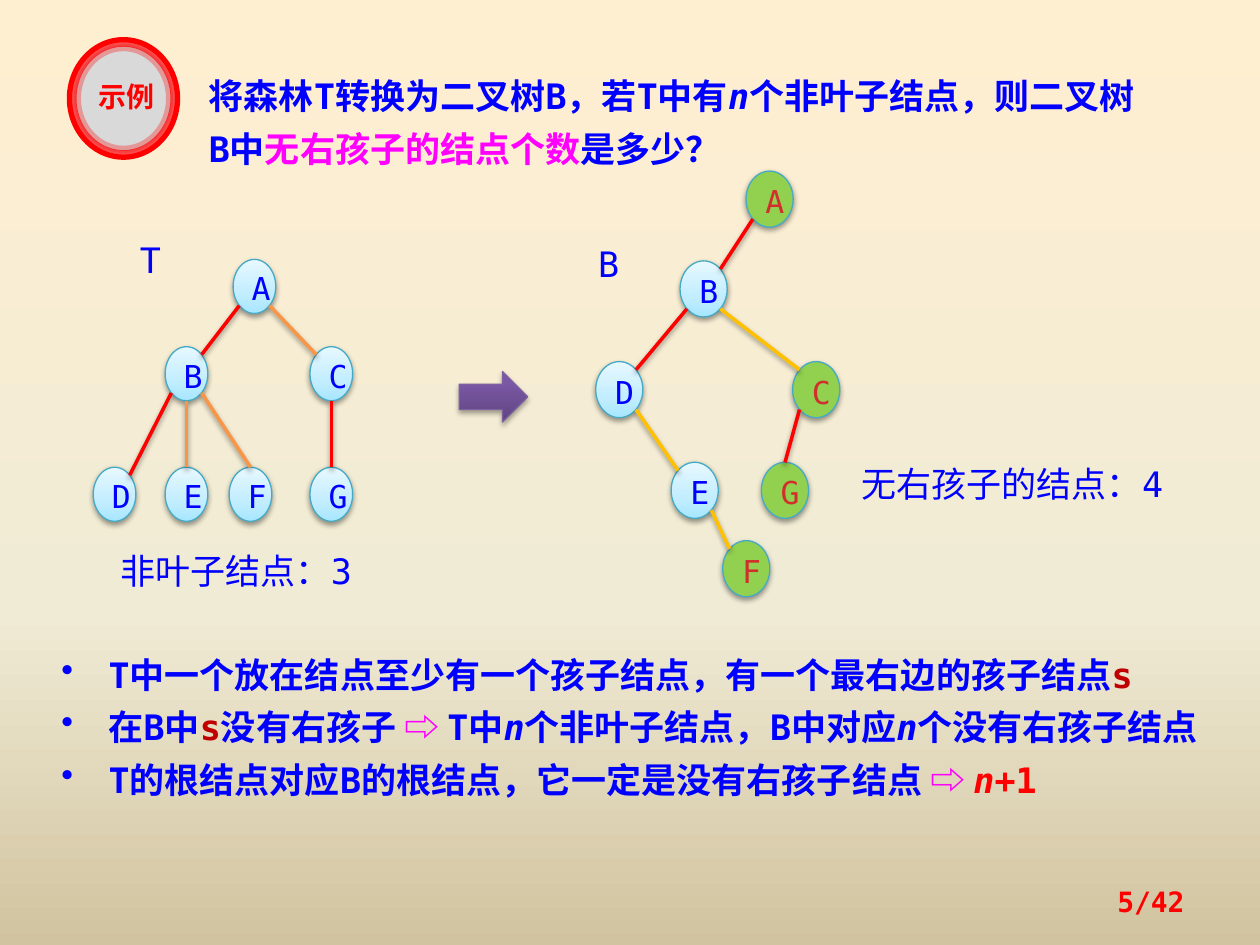
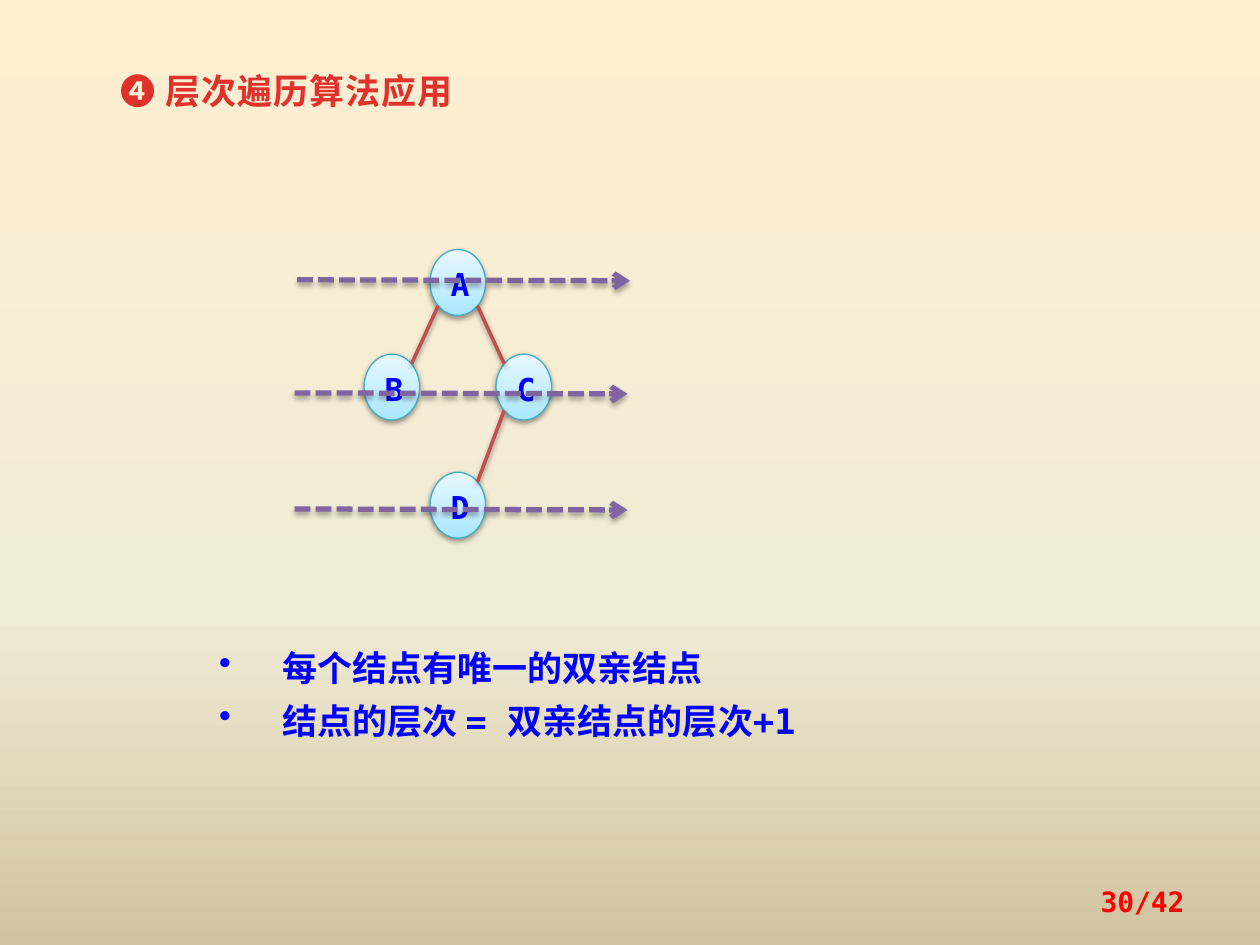
"""Builds two slides on forests, binary trees and level-order traversal."""
from copy import deepcopy
from lxml import etree
from pptx import Presentation
from pptx import util as u
from pptx.dml.color import RGBColor
from pptx.enum import dml, shapes, text
from pptx.oxml.ns import qn

Cm, Pt = u.Cm, u.Pt
MONO, SANS = "DejaVu Sans Mono", "Noto Sans CJK SC"
BLUE, RED, PINK, DARK = "0000FF", "FF0000", "FF00FF", "C00000"
AMBER, BRICK = "FFC000", "D02F2C"
SKY = [(0, "A7E6FF"), (35, "C1EDFF"), (100, "E7F8FF")]
SAND = [(0, "FFEFD1"), (65, "F0EBD5"), (100, "D1C39F")]
PLUM = [(0, "5F4480"), (80, "7B58A6"), (100, "7C57A8")]
OVAL = shapes.MSO_SHAPE.OVAL
LINE = shapes.MSO_CONNECTOR.STRAIGHT


def paint(fill, tone, turn=90):
    """Fill with one hex colour or with three gradient stops."""
    if isinstance(tone, str):
        fill.solid()
        fill.fore_color.rgb = RGBColor.from_string(tone)
        return
    fill.gradient()
    fill.gradient_angle = turn
    first = fill.gradient_stops[0]._gs
    first.addnext(deepcopy(first))
    for stop, (at, hue) in zip(fill.gradient_stops, tone):
        stop.position = at / 100
        stop.color.rgb = RGBColor.from_string(hue)


def write(host, *paras, box=None, size=20, font=MONO, hue=BLUE, bold=False,
          align=None, lead=Pt(30), indent=0, track=0, middle=False):
    """Write paragraphs, each a string or a list of (text, hue, italic) runs."""
    shape = host.shapes.add_textbox(*map(Cm, box)) if box else host
    frame = shape.text_frame
    frame.word_wrap = True
    if middle:
        frame.vertical_anchor = text.MSO_ANCHOR.MIDDLE
    elif box:
        frame.auto_size = text.MSO_AUTO_SIZE.SHAPE_TO_FIT_TEXT
    for i, runs in enumerate(paras):
        para = frame.add_paragraph() if i else frame.paragraphs[0]
        if indent:
            props = para._p.get_or_add_pPr()
            props.set("marL", str(Cm(indent)))
            props.set("indent", str(-Cm(indent)))
            etree.SubElement(props, qn("a:buChar")).set("char", "•")
        para.alignment, para.line_spacing = align, lead
        for words, *look in [(runs,)] if isinstance(runs, str) else runs:
            run = para.add_run()
            run.text = words
            run.font.size, run.font.name, run.font.bold = Pt(size), font, bold
            run.font.italic = True if look[1:] else None
            paint(run.font.fill, look[0] if look else hue)
            mark = run._r.get_or_add_rPr()
            etree.SubElement(mark, qn("a:ea")).set("typeface", SANS)
            if track:
                mark.set("spc", str(track))


deck = Presentation()
deck.slide_width, deck.slide_height = Cm(25.4), Cm(19.05)
pages = []
for label in ["5/42", "30/42"]:
    page = deck.slides.add_slide(deck.slide_layouts[6])
    paint(page.background.fill, SAND, 270)
    write(page, label, box=(18.21, 17.65, 5.92, 1.02), size=16, hue=RED,
          bold=True, align=text.PP_ALIGN.RIGHT, lead=None, middle=True)
    pages.append(page)
forest, levels = pages
shaded = []

write(forest, [("将森林T转换为二叉树B，若T中有",), ("n", BLUE, True),
               ("个非叶子结点，则二叉树B中",), ("无右孩子的结点个数", PINK),
               ("是多少？",)], box=(3.96, 1.17, 19.46, 2.39), bold=True)

arrow = forest.shapes.add_shape(shapes.MSO_SHAPE.RIGHT_ARROW,
                                Cm(9.26), Cm(7.49), Cm(1.38), Cm(1.02))
paint(arrow.fill, PLUM)
paint(arrow.line.fill, "7D60A0")
arrow.line.width = Pt(0.75)
shaded.append((arrow, 35, 1.8))

trees = [
    (forest, 0.86, 1.09, False, "", "BF CG",
     {"A": (4.7, 5.23), "B": (3.33, 6.99), "C": (6.25, 6.99), "D": (1.88, 9.42),
      "E": (3.33, 9.42), "F": (4.62, 9.42), "G": (6.25, 9.42)},
     {RED: "AB BD CG", "F79646": "AC BE BF"}),
    (forest, 0.95, 1.13, False, "ACFG", "CG",
     {"A": (15.04, 3.45), "B": (13.71, 5.26), "C": (15.98, 7.29),
      "D": (12.01, 7.29), "E": (13.53, 9.32), "F": (14.57, 10.9),
      "G": (15.35, 9.32)},
     {RED: "AB BD CG", AMBER: "BC DE EF"}),
    (levels, 1.12, 1.33, True, "", "",
     {"A": (8.67, 5.03), "B": (7.34, 7.14), "C": (10, 7.14), "D": (8.67, 9.52)},
     {"C0504D": "AB AC CD"}),
]
for page, wide, high, bold, green, tops, spots, edges in trees:
    for name, (x, y) in spots.items():
        node = page.shapes.add_shape(OVAL, Cm(x), Cm(y), Cm(wide), Cm(high))
        paint(node.fill, "92D050" if name in green else SKY)
        paint(node.line.fill, "46AAC5")
        node.line.width = Pt(0.75)
        write(node, name, size=18, hue=BRICK if name in green else BLUE,
              bold=bold, align=text.PP_ALIGN.CENTER, lead=1.1, middle=True)
        shaded.append((node, 38, 1.6))
    for hue, pairs in edges.items():
        for pair in pairs.split():
            (x, y), (x2, y2) = (spots[name] for name in pair)
            side = (x2 > x) - (x2 < x)
            land = 0 if pair in tops.split() else side
            drop, rise = (0.71 if lean else 1 for lean in (side, land))
            edge = page.shapes.add_connector(
                LINE, Cm(x + wide / 2 * (1 + 0.71 * side)),
                Cm(y + high / 2 * (1 + drop)),
                Cm(x2 + wide / 2 * (1 - 0.71 * land)),
                Cm(y2 + high / 2 * (1 - rise)))
            paint(edge.line.fill, hue)
            edge.line.width = Pt(2)
            shaded.append((edge, 38, 1.6))

for words, *box in [("B", 11.81, 4.55, 1.37, 1.24),
                    ("T", 2.57, 4.47, 1.37, 1.24),
                    ("非叶子结点：3", 2.18, 10.74, 5.72, 1.32),
                    ("无右孩子的结点：4", 17.12, 8.99, 6.88, 1.32)]:
    write(forest, words, box=box)

write(forest,
      [("T中一个放在结点至少有一个孩子结点，有一个最右边的孩子结点",), ("s", DARK)],
      [("在B中",), ("s", DARK), ("没有右孩子 ",), ("⇨ ", PINK), ("T中",),
       ("n", BLUE, True), ("个非叶子结点，B中对应",), ("n", BLUE, True),
       ("个没有右孩子结点",)],
      [("T的根结点对应B的根结点，它一定是没有右孩子结点 ",), ("⇨ ", PINK),
       ("n", RED, True), ("+1", RED)],
      box=(0.99, 12.83, 24, 3.38), bold=True, indent=0.95)

for inset, tone, alpha in [(0, "F8F8F8", 100), (0.09, "D9D9D9", 70),
                           (0.18, None, 30)]:
    ring = forest.shapes.add_shape(OVAL, Cm(1.4 + inset), Cm(0.8 + inset),
                                   Cm(2.18 - 2 * inset), Cm(2.37 - 2 * inset))
    ring.shadow.inherit = False
    if tone:
        paint(ring.fill, tone)
    else:
        ring.fill.background()
    paint(ring.line.fill, RED)
    ring.line.width = Pt(3)
    rim = ring.line._ln.find(".//" + qn("a:srgbClr"))
    etree.SubElement(rim, qn("a:alpha")).set("val", str(alpha * 1000))
write(forest, "示例", box=(1.63, 1.42, 1.85, 0.81), size=16, font=SANS, hue=RED,
      bold=True, align=text.PP_ALIGN.CENTER, lead=1.1)

write(levels, "❹ 层次遍历算法应用", box=(2.18, 1.07, 9.32, 1.27), font=SANS,
      hue="E0322D", bold=True, track=50)
for x, y in [(5.99, 5.64), (5.94, 7.92), (5.94, 10.26)]:
    sweep = levels.shapes.add_connector(LINE, Cm(x), Cm(y), Cm(x + 6.71), Cm(y + 0.02))
    paint(sweep.line.fill, "8064A2")
    sweep.line.width = Pt(3)
    sweep.line.dash_style = dml.MSO_LINE.SQUARE_DOT
    etree.SubElement(sweep.line._ln, qn("a:tailEnd")).set("type", "arrow")
    shaded.append((sweep, 35, 1.8))
write(levels, "每个结点有唯一的双亲结点", "结点的层次 = 双亲结点的层次+1",
      box=(4.17, 12.7, 12.9, 2.39), bold=True, indent=1.27)

for item, alpha, dist in shaded:
    glow = etree.SubElement(item._element.spPr, qn("a:effectLst"))
    cast = etree.SubElement(glow, qn("a:outerShdw"), blurRad=str(Pt(3.1)),
                            dist=str(Pt(dist)), dir="5400000", rotWithShape="0")
    ink = etree.SubElement(cast, qn("a:srgbClr"), val="000000")
    etree.SubElement(ink, qn("a:alpha"), val=str(alpha * 1000))

deck.save("out.pptx")
